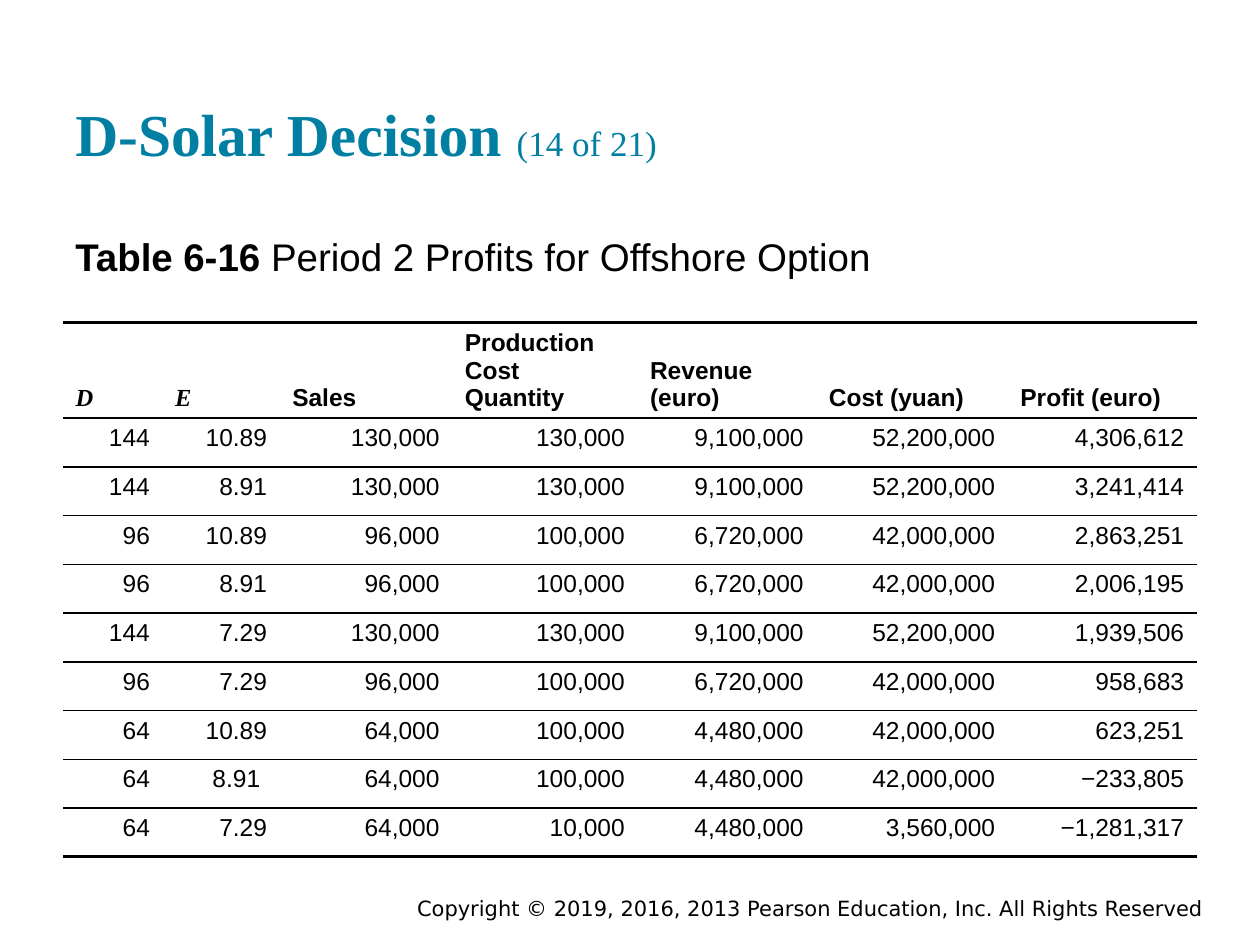
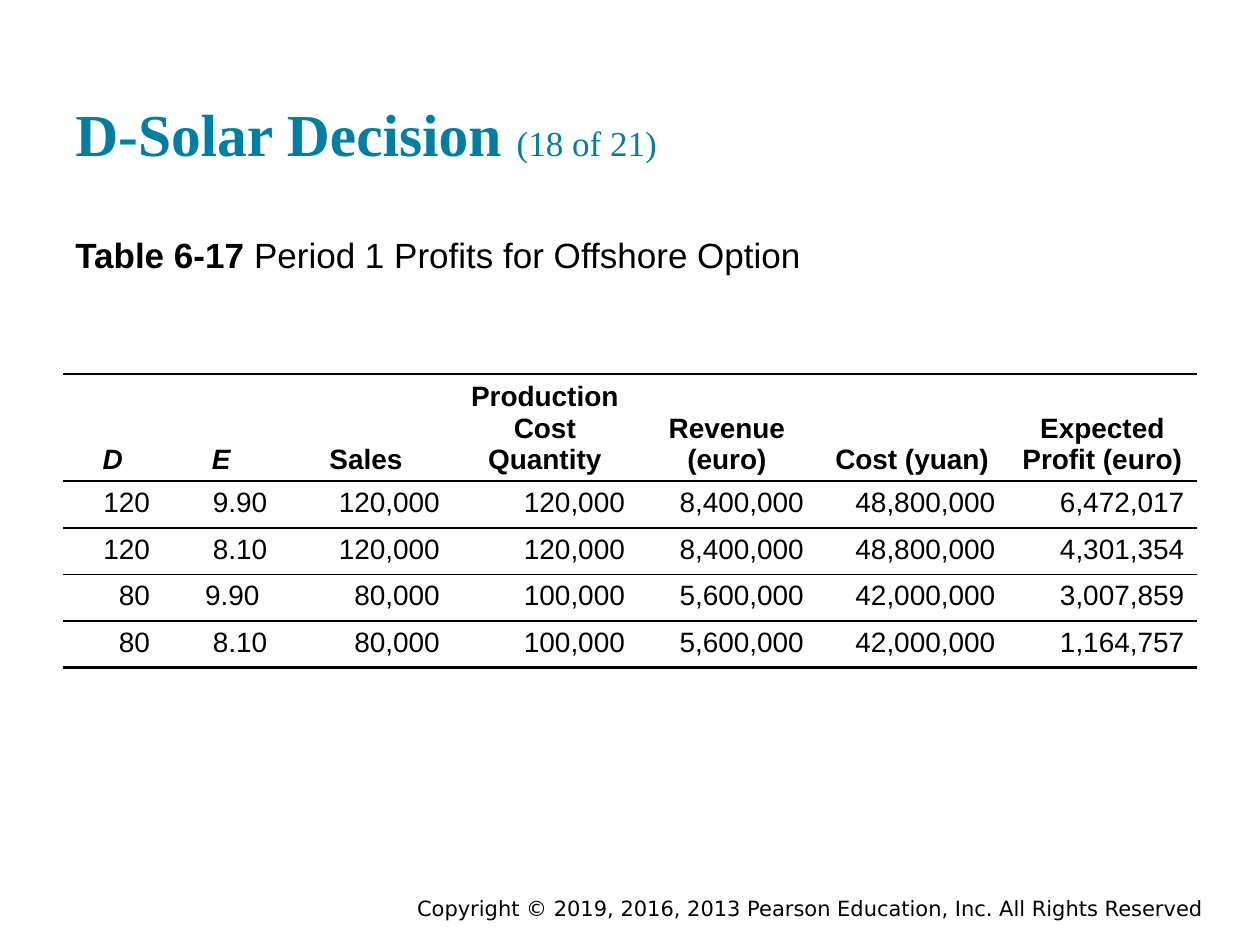
from dataclasses import dataclass

from lxml import etree
from pptx import Presentation
from pptx.dml.color import RGBColor
from pptx.enum import text
from pptx.oxml.ns import qn
from pptx.util import Inches, Pt


@dataclass(frozen=True)
class Theme:
    teal: str = "007FA3"
    ink: str = "000000"
    paper: str = "FFFFFF"
    serif: str = "Times New Roman"
    sans: str = "Arial"
    footer_font: str = "DejaVu Sans"
    title_size: int = 34
    counter_size: int = 20
    footer_size: int = 12
    rule_thin: float = 1
    rule_header: float = 1.5
    rule_bottom: float = 2.25


THEME = Theme()
LEFT, WIDTH = 0.5, 9
COLUMNS = [0.79, 0.93, 1.37, 1.47, 1.42, 1.52, 1.5]
HEADINGS = ["D", "E", "Sales", "Production Cost Quantity", "Revenue (euro)", "Cost (yuan)"]
FOOTER = "Copyright © 2019, 2016, 2013 Pearson Education, Inc. All Rights Reserved"
LEFT_ALIGN, CENTER, RIGHT = text.PP_ALIGN.LEFT, text.PP_ALIGN.CENTER, text.PP_ALIGN.RIGHT
TOP, MIDDLE, BOTTOM = text.MSO_ANCHOR.TOP, text.MSO_ANCHOR.MIDDLE, text.MSO_ANCHOR.BOTTOM

OFFSHORE_PERIOD_2 = [
    ["144", "10.89", "130,000", "130,000", "9,100,000", "52,200,000", "4,306,612"],
    ["144", "8.91", "130,000", "130,000", "9,100,000", "52,200,000", "3,241,414"],
    ["96", "10.89", "96,000", "100,000", "6,720,000", "42,000,000", "2,863,251"],
    ["96", "8.91", "96,000", "100,000", "6,720,000", "42,000,000", "2,006,195"],
    ["144", "7.29", "130,000", "130,000", "9,100,000", "52,200,000", "1,939,506"],
    ["96", "7.29", "96,000", "100,000", "6,720,000", "42,000,000", "958,683"],
    ["64", "10.89", "64,000", "100,000", "4,480,000", "42,000,000", "623,251"],
    ["64", "8.91 ", "64,000", "100,000", "4,480,000", "42,000,000", "−233,805"],
    ["64", "7.29", "64,000", "10,000", "4,480,000", "3,560,000", "−1,281,317"],
]
OFFSHORE_PERIOD_1 = [
    ["120", "9.90", "120,000", "120,000", "8,400,000", "48,800,000", "6,472,017"],
    ["120", "8.10", "120,000", "120,000", "8,400,000", "48,800,000", "4,301,354"],
    ["80", "9.90 ", "80,000", "100,000", "5,600,000", "42,000,000", "3,007,859"],
    ["80", "8.10", "80,000", "100,000", "5,600,000", "42,000,000", "1,164,757"],
]


def add_run(p, content, *, size, font=THEME.sans, color=THEME.ink, bold=False, italic=False):
    r = p.add_run()
    r.text = content
    r.font.name, r.font.size = font, Pt(size)
    r.font.bold, r.font.italic = bold, italic
    r.font.color.rgb = RGBColor.from_string(color)


def add_box(s, box, *, anchor=TOP, align=LEFT_ALIGN, inset=0.1):
    sp = s.shapes.add_textbox(*map(Inches, box))
    tf = sp.text_frame
    tf.word_wrap = True
    tf.vertical_anchor = anchor
    tf.margin_top = tf.margin_bottom = Inches(inset)
    p = tf.paragraphs[0]
    p.alignment = align
    return p


def add_footer(s, box):
    p = add_box(s, box, anchor=MIDDLE, align=RIGHT, inset=0.05)
    add_run(p, FOOTER, size=THEME.footer_size, font=THEME.footer_font)


def add_title(s, box, counter):
    p = add_box(s, box, anchor=BOTTOM)
    style = dict(font=THEME.serif, color=THEME.teal)
    add_run(p, "D-Solar Decision ", size=THEME.title_size, bold=True, **style)
    add_run(p, counter, size=THEME.counter_size, **style)


def add_caption(s, box, number, caption, size):
    p = add_box(s, box)
    add_run(p, number + " ", size=size, bold=True)
    add_run(p, caption, size=size)


def set_borders(cell, above, below):
    pr = cell._tc.get_or_add_tcPr()
    for i, (side, width) in enumerate([("L", 0), ("R", 0), ("T", above), ("B", below)]):
        ln = etree.Element(qn("a:ln" + side), w=str(Pt(width)))
        if width:
            fill = etree.SubElement(ln, qn("a:solidFill"))
            etree.SubElement(fill, qn("a:srgbClr"), val=THEME.ink)
        else:
            etree.SubElement(ln, qn("a:noFill"))
        pr.insert(i, ln)


def add_profit_table(s, top, rows, *, heading, size, height, header_height,
                     header_align, symbol_font):
    row_height = (height - header_height) / len(rows)
    heights = [header_height] + [row_height] * len(rows)
    frame = s.shapes.add_table(len(heights), len(COLUMNS), Inches(LEFT), Inches(top),
                               Inches(WIDTH), Inches(height))
    table = frame.table
    table.first_row = table.horz_banding = False
    for column, width in zip(table.columns, COLUMNS):
        column.width = Inches(width)
    for row, row_size in zip(table.rows, heights):
        row.height = Inches(row_size)
    rules = [THEME.rule_header] * 2 + [THEME.rule_thin] * (len(rows) - 1) + [THEME.rule_bottom]
    for i, values in enumerate([HEADINGS + [heading]] + rows):
        header = i == 0
        for j, value in enumerate(values):
            cell = table.cell(i, j)
            cell.fill.solid()
            cell.fill.fore_color.rgb = RGBColor.from_string(THEME.paper)
            cell.vertical_anchor = BOTTOM if header else TOP
            cell.margin_top = Inches(0 if header else 0.05)
            set_borders(cell, rules[i], rules[i + 1])
            p = cell.text_frame.paragraphs[0]
            p.alignment = header_align if header else RIGHT
            symbol = header and j < 2
            add_run(p, value, size=size, bold=header, italic=symbol,
                    font=symbol_font if symbol else THEME.sans)


def add_decision_slide(prs, counter, number, caption, caption_size, caption_height,
                       table_top, rows, **table_format):
    s = prs.slides.add_slide(prs.slide_layouts[6])
    add_footer(s, (3, 7.08, 6.65, 0.25))
    add_title(s, (LEFT, 0.67, WIDTH, 0.77), counter)
    add_caption(s, (LEFT, 1.75, WIDTH, caption_height), number, caption, caption_size)
    add_profit_table(s, table_top, rows, **table_format)


def main():
    prs = Presentation()
    prs.slide_width, prs.slide_height = Inches(10), Inches(7.5)
    add_decision_slide(prs, "(14 of 21)", "Table 6-16", "Period 2 Profits for Offshore Option",
                       22, 0.49, 2.56, OFFSHORE_PERIOD_2, heading="Profit (euro)", size=14,
                       height=4.24, header_height=0.76, header_align=LEFT_ALIGN,
                       symbol_font=THEME.serif)
    add_decision_slide(prs, "(18 of 21)", "Table 6-17", "Period 1 Profits for Offshore Option",
                       20, 0.41, 2.97, OFFSHORE_PERIOD_1, heading="Expected Profit (euro)", size=16,
                       height=2.32, header_height=0.84, header_align=CENTER,
                       symbol_font=THEME.sans)
    prs.save("out.pptx")


if __name__ == "__main__":
    main()
